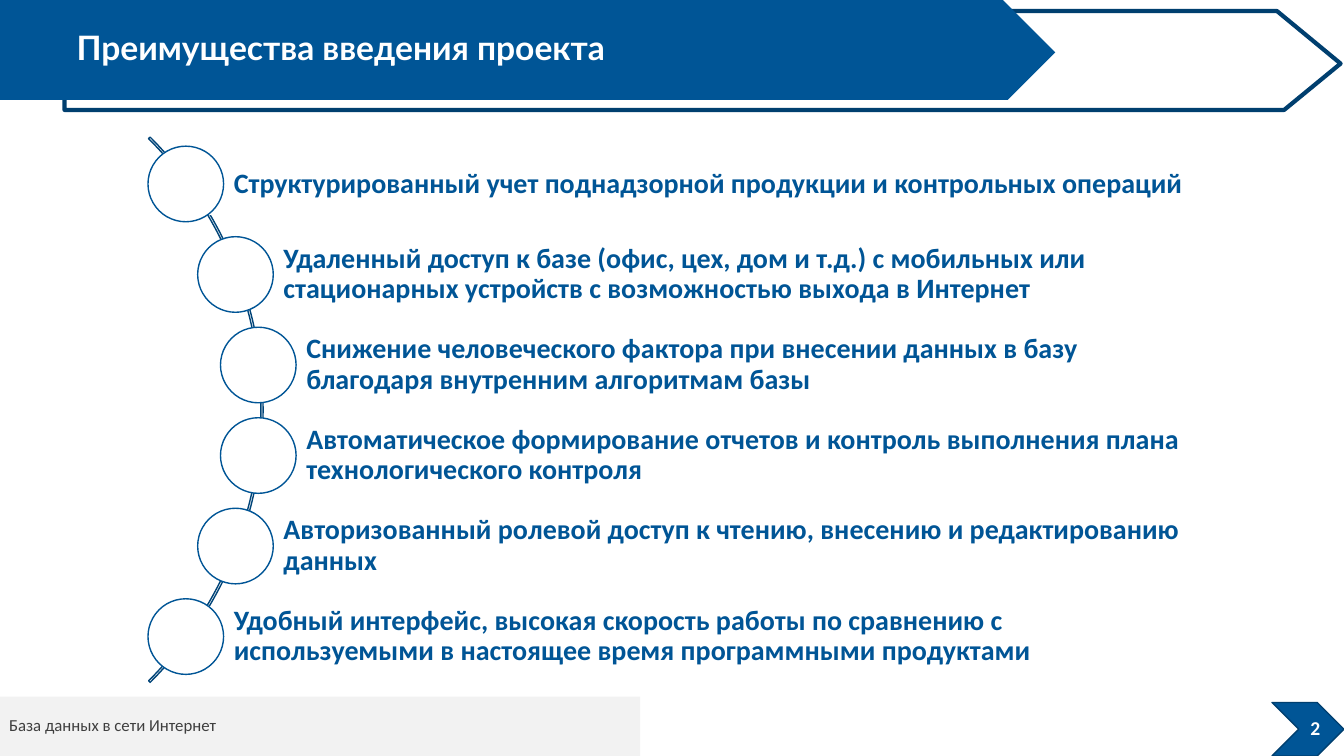
import pptx
import pptx.util
import pptx.dml.color
import pptx.enum.shapes
import pptx.enum.text

Pt = pptx.util.Pt
SHAPE = pptx.enum.shapes.MSO_SHAPE
ALIGN = pptx.enum.text.PP_ALIGN
COLORS = {"white": "FFFFFF", "blue": "005596", "navy": "003F6F",
          "arc": "004478", "gray": "F2F2F2", "text": "3F3F3F"}


def paint(shape, fill, line=None, width=1):
    shape.shadow.inherit = False
    if fill:
        shape.fill.solid()
        shape.fill.fore_color.rgb = pptx.dml.color.RGBColor.from_string(COLORS[fill])
    else:
        shape.fill.background()
    if line:
        shape.line.color.rgb = pptx.dml.color.RGBColor.from_string(COLORS[line])
        shape.line.width = Pt(width)
    else:
        shape.line.fill.background()


def write(shape, text, size, color, font="Calibri", bold=True, align=ALIGN.LEFT,
          insets=(0, 0, 0, 0)):
    frame = shape.text_frame
    frame.word_wrap = True
    frame.vertical_anchor = pptx.enum.text.MSO_ANCHOR.MIDDLE
    frame.margin_left, frame.margin_top, frame.margin_right, frame.margin_bottom = map(Pt, insets)
    para = frame.paragraphs[0]
    para.text = text
    para.alignment = align
    para.line_spacing = 0.9
    para.font.name = font
    para.font.size = Pt(size)
    para.font.bold = bold
    para.font.color.rgb = pptx.dml.color.RGBColor.from_string(COLORS[color])


deck = pptx.Presentation()
deck.slide_width, deck.slide_height = Pt(960), Pt(540)
page = deck.slides.add_slide(deck.slide_layouts[6])
shapes = page.shapes

# Header arrows: outlined one behind, solid one in front
header_arrows = [
    ([(46.1, 7.9), (912.2, 7.9), (957.6, 45.4), (917.3, 78.5), (46.1, 78.5)], "white", "navy"),
    ([(0, 0), (716.4, 0), (753.8, 37.4), (720, 71.3), (0, 71.3)], "blue", None),
]
for points, fill, line in header_arrows:
    corners = [(Pt(x), Pt(y)) for x, y in points]
    builder = shapes.build_freeform(*corners[0])
    builder.add_line_segments(corners[1:], close=True)
    paint(builder.convert_to_shape(), fill, line, 3)

title = shapes.add_textbox(Pt(54.7), Pt(0), Pt(678), Pt(71.3))
write(title, "Преимущества введения проекта", 24, "white", font="Lato")

# Page number
chevron = shapes.add_shape(SHAPE.CHEVRON, Pt(908.6), Pt(501.8), Pt(51.4), Pt(38.2))
paint(chevron, "blue", "navy")
number = shapes.add_textbox(Pt(914.4), Pt(510.5), Pt(50.4), Pt(20.2))
write(number, "2", 14, "white", align=ALIGN.CENTER)

# Footer
footer = shapes.add_shape(SHAPE.RECTANGLE, Pt(0), Pt(497.5), Pt(457.2), Pt(42.5))
paint(footer, "gray")
write(footer, "База данных в сети Интернет", 12, "text", bold=False, insets=(6.5, 0, 0, 0))

# Arc that carries the circles
arc = shapes.add_shape(SHAPE.BLOCK_ARC, Pt(-362.9), Pt(17.3), Pt(550.8), Pt(550.8))
arc.adjustments[0] = 189
arc.adjustments[1] = 27
arc.adjustments[2] = 0.0028
paint(arc, None, "arc")

# Advantages: circle left edge and wording
advantages = [
    (105.7, "Структурированный учет поднадзорной продукции и контрольных операций"),
    (141.2, "Удаленный доступ к базе (офис, цех, дом и т.д.) с мобильных или "
            "стационарных устройств с возможностью выхода в Интернет"),
    (157.5, "Снижение человеческого фактора при внесении данных в базу "
            "благодаря внутренним алгоритмам базы"),
    (157.5, "Автоматическое формирование отчетов и контроль выполнения плана "
            "технологического контроля"),
    (141.2, "Авторизованный ролевой доступ к чтению, внесению и редактированию данных"),
    (105.7, "Удобный интерфейс, высокая скорость работы по сравнению с "
            "используемыми в настоящее время программными продуктами"),
]
DIAMETER, BAR_HEIGHT, BAR_RIGHT = 54, 43.2, 863.6
FIRST_TOP, STEP = 104.4, 64.66
for index, (left, wording) in enumerate(advantages):
    top = FIRST_TOP + index * STEP
    bar_left = left + DIAMETER / 2
    bar = shapes.add_shape(SHAPE.RECTANGLE, Pt(bar_left), Pt(top + (DIAMETER - BAR_HEIGHT) / 2),
                           Pt(BAR_RIGHT - bar_left), Pt(BAR_HEIGHT))
    paint(bar, "white", "white")
    write(bar, wording, 20, "blue", insets=(34.3, 4, 4, 4))
    circle = shapes.add_shape(SHAPE.OVAL, Pt(left), Pt(top), Pt(DIAMETER), Pt(DIAMETER))
    paint(circle, "white", "blue")

deck.save("out.pptx")
